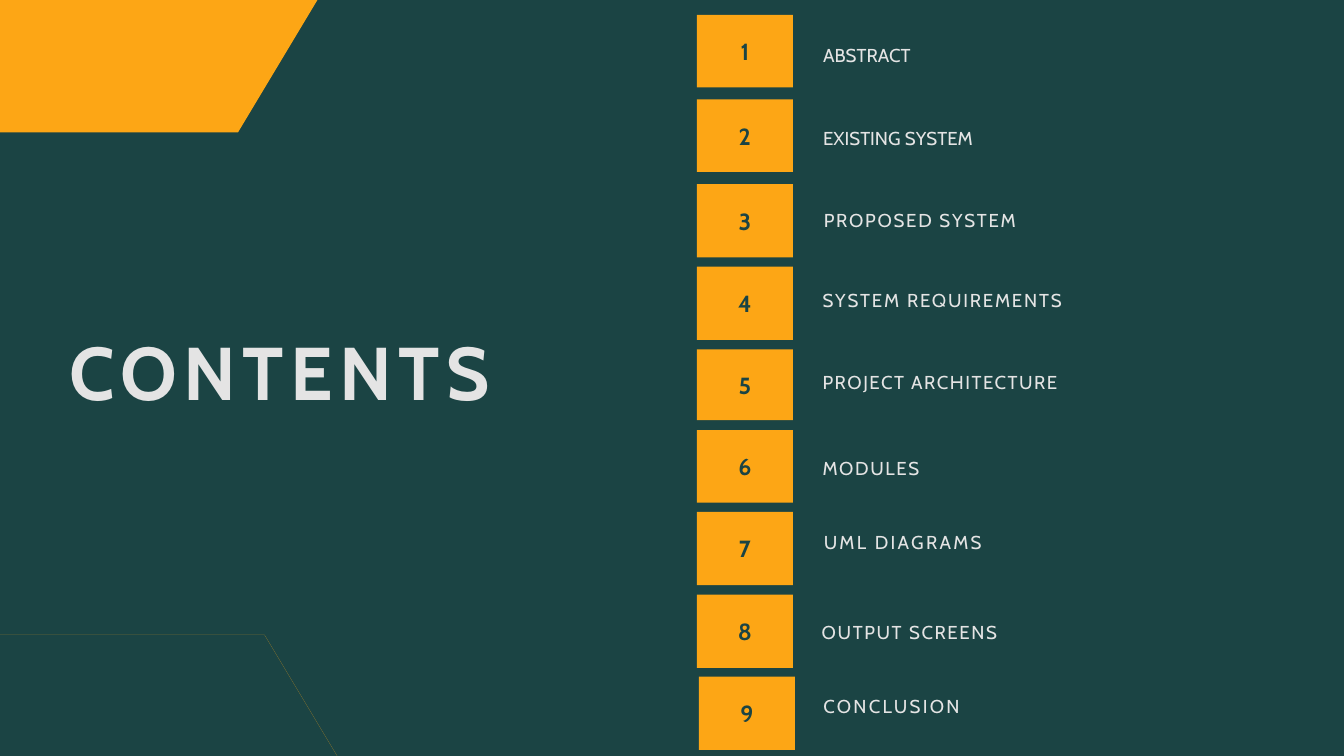
from pptx import Presentation
from pptx.dml.color import RGBColor
from pptx.enum.shapes import MSO_SHAPE
from pptx.enum.text import MSO_ANCHOR, PP_ALIGN
from pptx.util import Cm, Pt

HUES = {"green": "1B4444", "gold": "FDA615", "light": "E4E4E4"}


def write(shape, text, size=20, hue="light", bold=False, gap=0.0, top=0.03,
          side=0.0, wrap=True, align=PP_ALIGN.LEFT, anchor=MSO_ANCHOR.TOP):
    frame = shape.text_frame
    frame.word_wrap = wrap
    frame.vertical_anchor = anchor
    frame.margin_left = frame.margin_right = Cm(side)
    frame.margin_top = frame.margin_bottom = Cm(top)
    para = frame.paragraphs[0]
    para.alignment = align
    run = para.add_run()
    run.text = text
    run.font.name = "Cabin"
    run.font.size = Pt(size)
    run.font.bold = bold
    run.font.color.rgb = RGBColor.from_string(HUES[hue])
    if gap:
        run._r.get_or_add_rPr().set("spc", str(round(gap * 100)))


def paint(shape):
    shape.shadow.inherit = False
    shape.fill.solid()
    shape.fill.fore_color.rgb = RGBColor.from_string(HUES["gold"])
    shape.line.fill.background()


deck = Presentation()
deck.slide_width = Cm(50.8)
deck.slide_height = deck.slide_width * 9 // 16
slide = deck.slides.add_slide(deck.slide_layouts[6])
slide.background.fill.solid()
slide.background.fill.fore_color.rgb = RGBColor.from_string(HUES["green"])
shapes = slide.shapes

corner = [(0, 0), (12.37, 0), (9.42, 5.08), (0.43, 5.08), (0.23, 5.05), (0, 5.03)]
rim = [(0, 23.6), (0.51, 23.52), (0.81, 23.5), (10.19, 23.5), (13.13, 28.57),
       (13.03, 28.57), (10.13, 23.55), (1.04, 23.55), (0.51, 23.57), (0, 23.67)]
for points in (corner, rim):
    pen = shapes.build_freeform(*points[0], scale=Cm(1))
    pen.add_line_segments(points[1:], close=True)
    paint(pen.convert_to_shape())

title = shapes.add_textbox(Cm(2.64), Cm(12.29), Cm(19.41), Cm(3.45))
write(title, "CONTENTS", size=80, bold=True, gap=6.8)

items = [
    ("ABSTRACT", 0.56, 2.74, 30.86, 1.52, 3.89, 0, -2),
    ("EXISTING SYSTEM", 3.76, 2.74, 30.86, 4.65, 6.4, 0, -2),
    ("PROPOSED SYSTEM", 6.96, 2.77, 31.14, 7.85, 8.81, 1.8, -2),
    ("SYSTEM REQUIREMENTS", 10.08, 2.77, 31.09, 10.9, 10.85, 1.9, -0.1),
    ("PROJECT ARCHITECTURE", 13.21, 2.67, 31.09, 14, 10.19, 1.6, -1.1),
    ("MODULES", 16.26, 2.74, 31.09, 17.25, 4.72, 1.7, -0.1),
    ("UML DIAGRAMS", 19.35, 2.77, 31.14, 20.04, 6.65, 2.4, -1.1),
    ("OUTPUT SCREENS", 22.48, 2.77, 31.06, 23.44, 6.73, 1.7, -1.1),
    ("CONCLUSION", 25.58, 2.77, 31.12, 26.24, 6.65, 2.4, -1.1),
]
for num, (name, top, tall, left, high, wide, gap, tight) in enumerate(items, 1):
    edge = 26.42 if num == len(items) else 26.34
    box = shapes.add_shape(MSO_SHAPE.RECTANGLE, Cm(edge), Cm(top), Cm(3.63), Cm(tall))
    paint(box)
    write(box, str(num), size=25, hue="green", bold=True, gap=tight, top=0,
          align=PP_ALIGN.CENTER, anchor=MSO_ANCHOR.MIDDLE)
    label = shapes.add_textbox(Cm(left), Cm(high), Cm(wide), Cm(0.9 if gap else 1.12))
    if gap:
        write(label, name, gap=gap)
    else:
        write(label, name, top=0.13, side=0.25, wrap=False)

deck.save("out.pptx")
